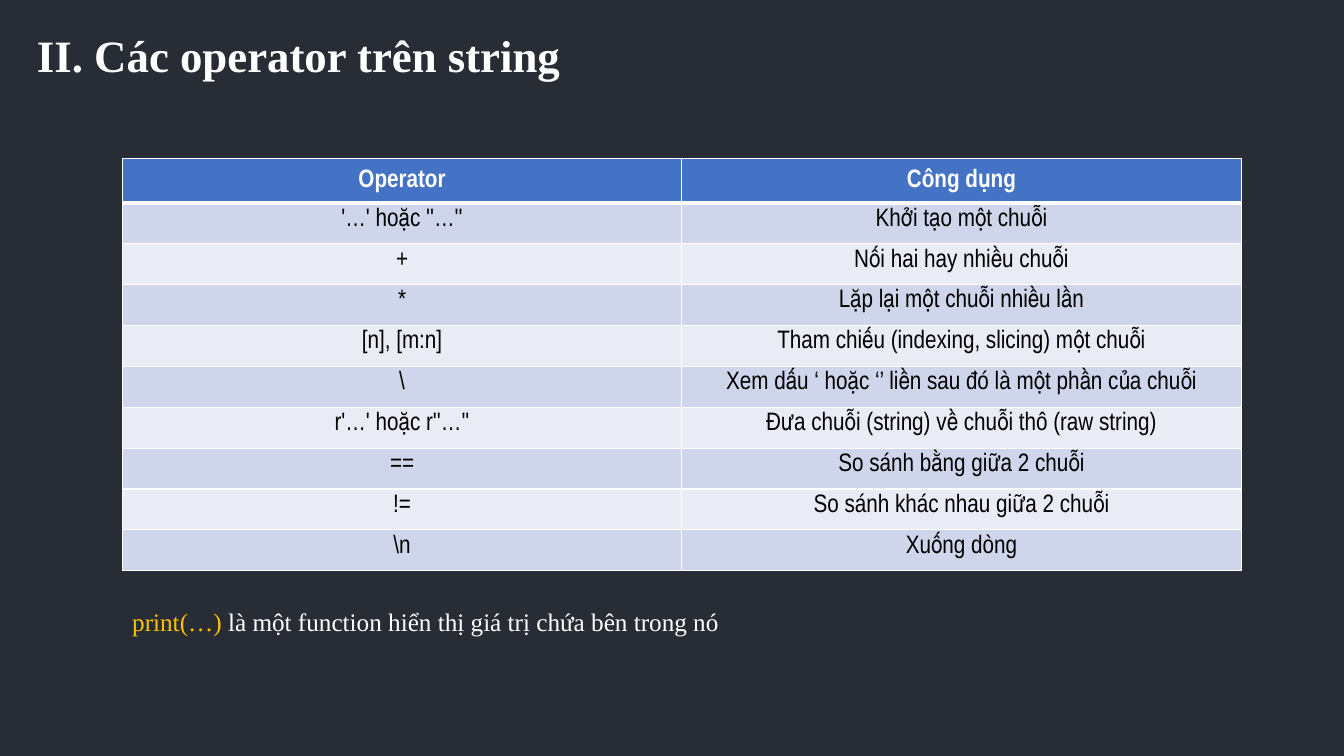
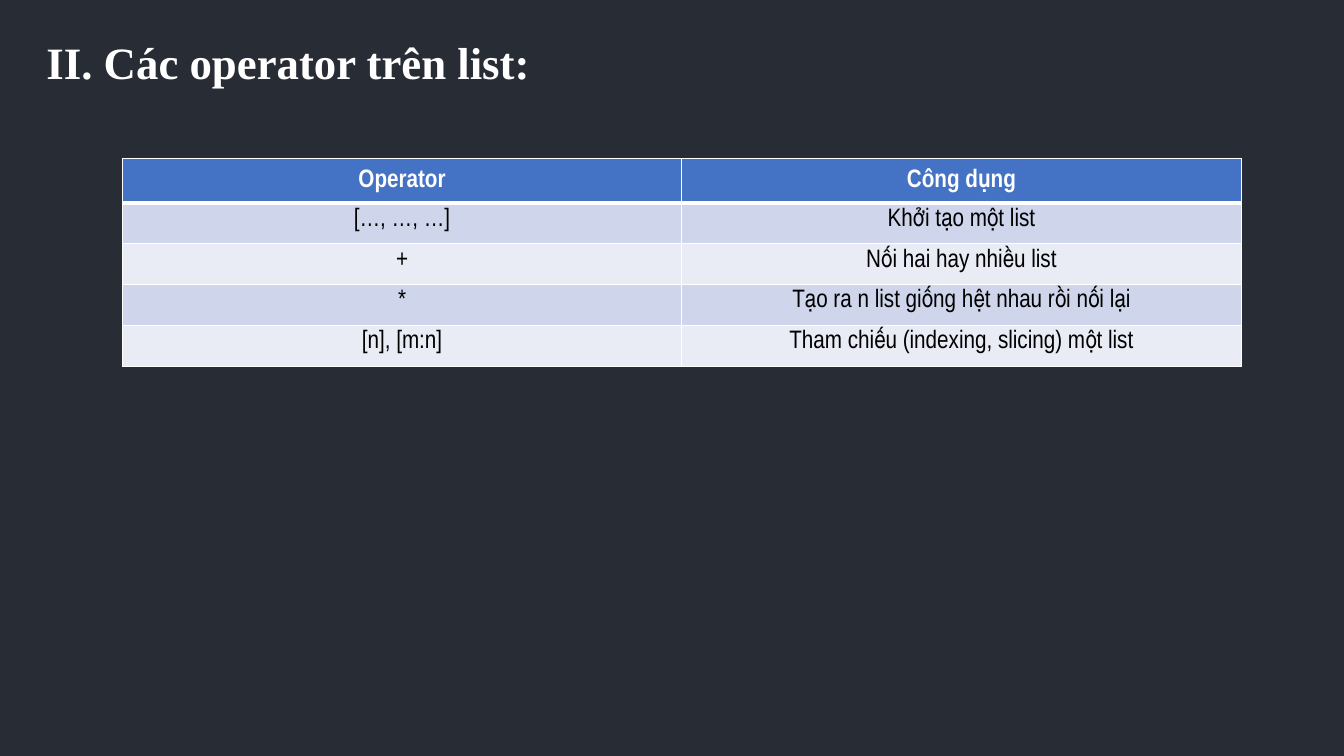
from lxml.etree import SubElement
from pptx import Presentation
from pptx.dml.color import RGBColor
from pptx.enum.text import MSO_ANCHOR as Anchor, MSO_AUTO_SIZE as AutoSize, PP_ALIGN as Align
from pptx.oxml.ns import qn
from pptx.util import Pt

NIGHT = RGBColor(0x28, 0x2C, 0x34)
WHITE = RGBColor(0xFF, 0xFF, 0xFF)
BLACK = RGBColor(0x00, 0x00, 0x00)
GOLD = RGBColor(0xFF, 0xC0, 0x00)
HEADER_BLUE = RGBColor(0x44, 0x72, 0xC4)
BANDS = [RGBColor(0xE9, 0xEB, 0xF5), RGBColor(0xCF, 0xD5, 0xEA)]

SERIF = "Times New Roman"
NARROW = "Arial Narrow"

TABLE_LEFT, TABLE_TOP = 87.4, 113.4
COLUMN_WIDTH = 399.6
HEADER_HEIGHT, ROW_HEIGHT = 31.5, 29.2
CELL_MARGIN_TOP = 3.6

HEADER = ("Operator", "Công dụng")
SLIDES = [
    {
        "title": "II. Các operator trên string",
        "title_at": (19.2, 16),
        "rows": [
            ("'…' hoặc ''…''", "Khởi tạo một chuỗi"),
            ("+", "Nối hai hay nhiều chuỗi"),
            ("*", "Lặp lại một chuỗi nhiều lần"),
            ("[n], [m:n]", "Tham chiếu (indexing, slicing) một chuỗi"),
            ("\\", "Xem dấu ‘ hoặc ‘’ liền sau đó là một phần của chuỗi"),
            ("r'…' hoặc r''…''", "Đưa chuỗi (string) về chuỗi thô (raw string)"),
            ("==", "So sánh bằng giữa 2 chuỗi"),
            ("!=", "So sánh khác nhau giữa 2 chuỗi"),
            ("\\n", "Xuống dòng"),
        ],
        "note": [("print(…) ", GOLD),
                 ("là một function hiển thị giá trị chứa bên trong nó", WHITE)],
    },
    {
        "title": "II. Các operator trên list:",
        "title_at": (26, 21),
        "rows": [
            ("[…, …, …]", "Khởi tạo một list"),
            ("+", "Nối hai hay nhiều list"),
            ("*", "Tạo ra n list giống hệt nhau rồi nối lại"),
            ("[n], [m:n]", "Tham chiếu (indexing, slicing) một list"),
        ],
        "note": [],
    },
]


def write(frame, text, font=SERIF, size=18, color=WHITE, bold=False, align=Align.LEFT):
    """Add one formatted run to the first paragraph of a text frame."""
    para = frame.paragraphs[0]
    para.alignment = align
    span = para.add_run()
    span.text = text
    span.font.name = font
    span.font.size = Pt(size)
    span.font.bold = bold
    span.font.color.rgb = color


def add_borders(cell, top, bottom):
    """Draw white cell borders; call before the fill, which must follow them."""
    properties = cell._tc.get_or_add_tcPr()
    for side, width in (("L", 1), ("R", 1), ("T", top), ("B", bottom)):
        line = SubElement(properties, qn(f"a:ln{side}"), w=str(Pt(width)))
        fill = SubElement(line, qn("a:solidFill"))
        SubElement(fill, qn("a:srgbClr"), val=str(WHITE))


deck = Presentation()
deck.slide_width, deck.slide_height = Pt(960), Pt(540)
background = deck.slide_master.background.fill
background.solid()
background.fore_color.rgb = NIGHT
title_only = deck.slide_layouts.get_by_name("Title Only")

for content in SLIDES:
    page = deck.slides.add_slide(title_only)

    title = page.shapes.title
    title.left, title.top = map(Pt, content["title_at"])
    title.width, title.height = Pt(868), Pt(46)
    title.text_frame.auto_size = AutoSize.NONE
    write(title.text_frame, content["title"], size=32, bold=True)

    rows = [HEADER] + content["rows"]
    table_height = HEADER_HEIGHT + ROW_HEIGHT * len(content["rows"])
    table = page.shapes.add_table(
        len(rows), len(HEADER), Pt(TABLE_LEFT), Pt(TABLE_TOP),
        Pt(COLUMN_WIDTH * len(HEADER)), Pt(table_height)).table
    for column in table.columns:
        column.width = Pt(COLUMN_WIDTH)
    for row_index, texts in enumerate(rows):
        is_header = row_index == 0
        table.rows[row_index].height = Pt(HEADER_HEIGHT if is_header else ROW_HEIGHT)
        for column_index, text in enumerate(texts):
            cell = table.cell(row_index, column_index)
            add_borders(cell, top=3 if row_index == 1 else 1, bottom=3 if is_header else 1)
            cell.fill.solid()
            cell.fill.fore_color.rgb = HEADER_BLUE if is_header else BANDS[row_index % 2]
            cell.vertical_anchor = Anchor.MIDDLE if is_header else Anchor.TOP
            cell.margin_top = Pt(CELL_MARGIN_TOP)
            cell.margin_bottom = Pt(CELL_MARGIN_TOP if is_header else 0)
            write(cell.text_frame, text, font=NARROW, bold=is_header,
                  color=WHITE if is_header else BLACK, align=Align.CENTER)

    if content["note"]:
        note = page.shapes.add_textbox(Pt(TABLE_LEFT), Pt(429.6), Pt(438), Pt(29)).text_frame
        note.word_wrap = False
        note.auto_size = AutoSize.SHAPE_TO_FIT_TEXT
        for text, color in content["note"]:
            write(note, text, color=color)

deck.save("out.pptx")
